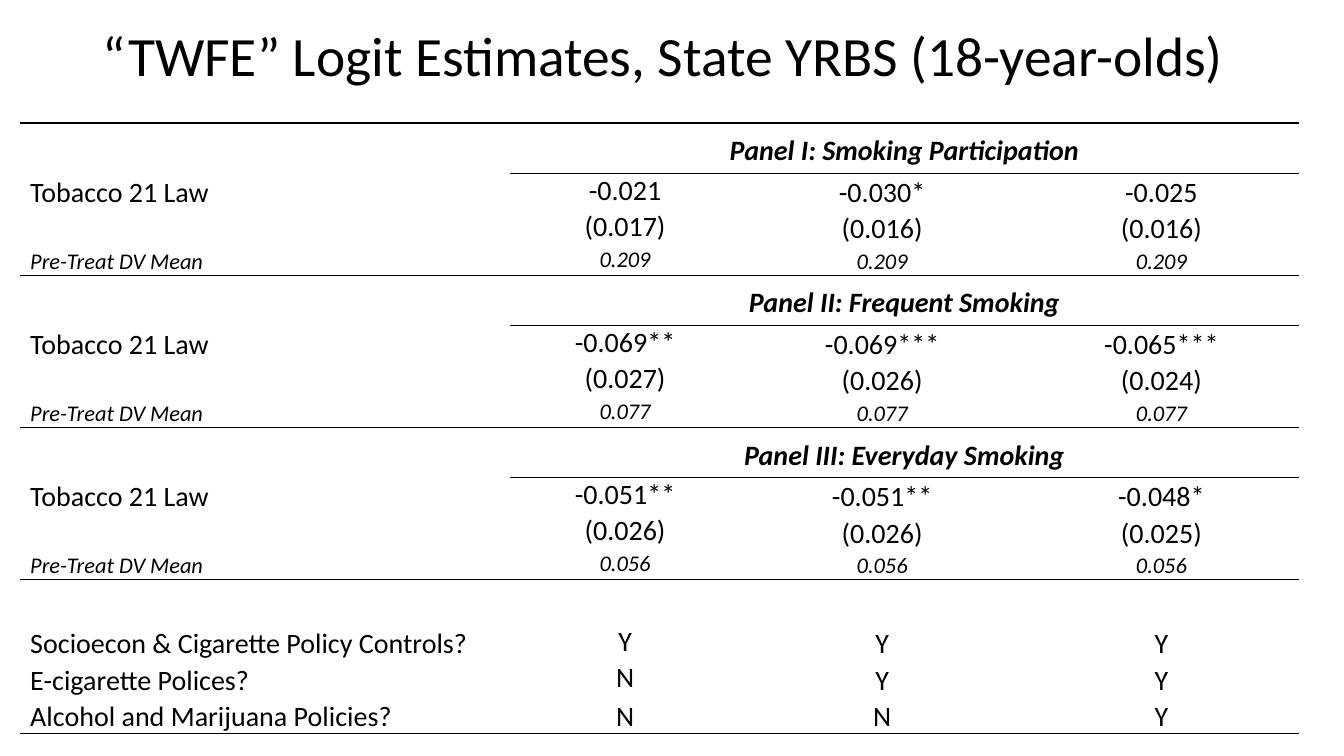
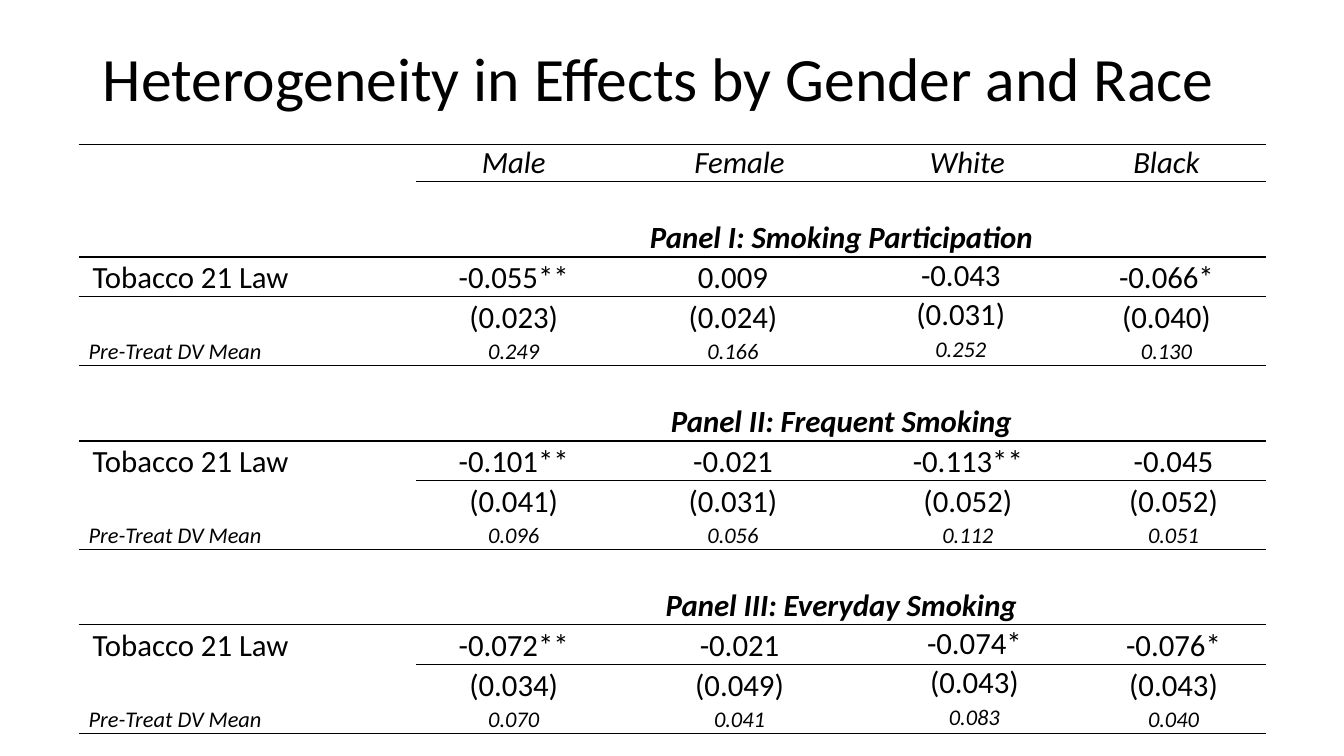
from collections import namedtuple
from itertools import accumulate
from lxml.etree import SubElement as Sub
from pptx import Presentation
from pptx.dml.color import RGBColor as Rgb
from pptx.enum.text import MSO_ANCHOR as Anchor, PP_ALIGN as Align
from pptx.oxml.ns import qn
from pptx.util import Inches, Pt

Theme = namedtuple("Theme", "font ink rule lead tight")
THEME = Theme("Calibri", "000000", 1, 1.07, 0.9)

Kind = namedtuple("Kind", "high size bold italic anchor pad")
Row = namedtuple("Row", "kind label vals spans plain rule")
Panel = namedtuple("Panel", "name rows spans plain rule")

TOP, MID, LOW = Anchor.TOP, Anchor.MIDDLE, Anchor.BOTTOM
NAMES = (
    "Panel I: Smoking Participation",
    "Panel II: Frequent Smoking",
    "Panel III: Everyday Smoking",
)
LABELS = (("est", "Tobacco 21 Law"), ("err", ""), ("mean", "Pre-Treat DV Mean"))

STATES = (
    (("-0.021", "-0.030*", "-0.025"), ("(0.017)", "(0.016)", "(0.016)"), ("0.209",) * 3),
    (("-0.069**", "-0.069***", "-0.065***"), ("(0.027)", "(0.026)", "(0.024)"), ("0.077",) * 3),
    (("-0.051**", "-0.051**", "-0.048*"), ("(0.026)", "(0.026)", "(0.025)"), ("0.056",) * 3),
)
CHECKS = (
    ("Socioecon & Cigarette Policy Controls?", "YYY"),
    ("E-cigarette Polices?", "NYY"),
    ("Alcohol and Marijuana Policies?", "NNY"),
)
GROUPS = ("Male", "Female", "White", "Black")
SPLITS = (
    (("-0.055**", "0.009", "-0.043", "-0.066*"),
     ("(0.023)", "(0.024)", "(0.031)", "(0.040)"),
     ("0.249", "0.166", "0.252", "0.130")),
    (("-0.101**", "-0.021", "-0.113**", "-0.045"),
     ("(0.041)", "(0.031)", "(0.052)", "(0.052)"),
     ("0.096", "0.056", "0.112", "0.051")),
    (("-0.072**", "-0.021", "-0.074*", "-0.076*"),
     ("(0.034)", "(0.049)", "(0.043)", "(0.043)"),
     ("0.070", "0.041", "0.083", "0.040")),
)


def expand(panel, wide, under):
    yield Row("panel", "", (panel.name,), (wide,), None, under)
    rules = (panel.rule, None, 0)
    for (kind, label), vals, rule in zip(LABELS, panel.rows, rules):
        yield Row(kind, label, vals, panel.spans, panel.plain, rule)


def state_rows():
    ones = (1, 1, 1)
    rows = []
    for name, vals in zip(NAMES, STATES):
        rows += expand(Panel(name, vals, ones, 0, None), 3, 1)
    rows.append(Row("gap", "", (), (), None, None))
    for i, (label, vals) in enumerate(CHECKS):
        last = i == len(CHECKS) - 1
        rows.append(Row("check", label, vals, ones, None if last else 0, 0 if last else None))
    return rows


def group_rows():
    spans = ((1, 1, 2, 2), (1, 1, 3, 1), (1, 2, 2, 1))
    rows = [Row("head", "", GROUPS, (1, 2, 1, 2), None, 1)]
    for name, vals, span, plain, rule in zip(NAMES, SPLITS, spans, (2, None, 2), (0, 1, 1)):
        rows += expand(Panel(name, vals, span, plain, rule), 6, 0)
    return rows


STATE_KINDS = {
    "panel": Kind(0.5, 20, True, True, LOW, 0.05),
    "est": Kind(0.36, 20, False, False, TOP, 0),
    "err": Kind(0.36, 20, False, False, TOP, 0),
    "mean": Kind(0.29, 16, False, True, TOP, 0),
    "gap": Kind(0.45, 16, False, False, TOP, 0),
    "check": Kind(0.36, 20, False, False, TOP, 0),
}
GROUP_KINDS = {
    "head": Kind(0.37, 22, False, True, MID, 0),
    "panel": Kind(0.75, 22, True, True, LOW, 0),
    "est": Kind(0.39, 22, False, False, TOP, 0),
    "err": Kind(0.39, 22, False, False, TOP, 0),
    "mean": Kind(0.29, 16, False, True, TOP, 0),
}
SLIDES = (
    dict(title="“TWFE” Logit Estimates, State YRBS (18-year-olds)", size=39.6,
         box=(0.92, 0.22, 11.5, 0.72), at=(0.2, 1.22), cols=(4.86, 2.28, 2.82, 2.72),
         kinds=STATE_KINDS, rows=state_rows(), dent={}),
    dict(title="Heterogeneity in Effects by Gender and Race", size=44,
         box=(0.92, 0.4, 11.5, 0.81), at=(0.78, 1.43),
         cols=(3.35, 1.93, 2.42, 0.13, 1.97, 0.14, 1.84),
         kinds=GROUP_KINDS, rows=group_rows(), dent={"est": 0.14}),
)


def style(para, size, bold=False, italic=False):
    font = para.font
    font.name, font.size = THEME.font, Pt(size)
    font.bold, font.italic = bold, italic
    font.color.rgb = Rgb.from_string(THEME.ink)


def add_title(slide, text, size, box):
    frame = slide.shapes.add_textbox(*map(Inches, box)).text_frame
    frame.word_wrap = True
    frame.vertical_anchor = MID
    para = frame.paragraphs[0]
    para.text = text
    para.line_spacing = THEME.tight
    style(para, size)


def set_edges(cell, over, under):
    props = cell._tc.get_or_add_tcPr()
    edges = (("L", False), ("R", False), ("T", over), ("B", under))
    for i, (side, drawn) in enumerate(edges):
        line = Sub(props, qn("a:ln" + side), w=str(Pt(THEME.rule)))
        if drawn:
            fill = Sub(line, qn("a:solidFill"))
            Sub(fill, qn("a:srgbClr"), val=THEME.ink)
        else:
            Sub(line, qn("a:noFill"))
        props.insert(i, line)


def set_cell(cell, kind):
    cell.fill.background()
    cell.margin_left = cell.margin_right = Inches(0.1)
    cell.margin_top = cell.margin_bottom = Inches(kind.pad)
    cell.vertical_anchor = kind.anchor
    style(cell.text_frame.paragraphs[0], kind.size, kind.bold, kind.italic)


def put(cell, text, align, lead):
    para = cell.text_frame.paragraphs[0]
    para.text = text
    para.alignment = align
    para.line_spacing = lead


def add_grid(slide, at, cols, kinds, rows, dent):
    highs = [kinds[row.kind].high for row in rows]
    area = (*at, sum(cols), sum(highs))
    table = slide.shapes.add_table(len(rows), len(cols), *map(Inches, area)).table
    table.first_row = table.horz_banding = False
    for col, wide in zip(table.columns, cols):
        col.width = Inches(wide)
    rule = 0
    for r, row in enumerate(rows):
        kind = kinds[row.kind]
        table.rows[r].height = Inches(kind.high)
        for c in range(len(cols)):
            cell = table.cell(r, c)
            set_cell(cell, kind)
            set_edges(cell, rule is not None and c >= rule,
                      row.rule is not None and c >= row.rule)
        rule = row.rule
        if row.label:
            cell = table.cell(r, 0)
            put(cell, row.label, Align.LEFT, THEME.lead)
            cell.margin_left = Inches(dent.get(row.kind, 0.1))
        starts = accumulate(row.spans, initial=1)
        for i, (c, span, text) in enumerate(zip(starts, row.spans, row.vals)):
            cell = table.cell(r, c)
            if span > 1:
                cell.merge(table.cell(r, c + span - 1))
            plain = i == row.plain or row.kind in ("panel", "head")
            put(cell, text, Align.CENTER, 1.0 if plain else THEME.lead)


def main():
    deck = Presentation()
    deck.slide_width, deck.slide_height = Inches(13.33), Inches(7.5)
    for page in SLIDES:
        slide = deck.slides.add_slide(deck.slide_layouts[6])
        add_title(slide, page["title"], page["size"], page["box"])
        add_grid(slide, *(page[key] for key in ("at", "cols", "kinds", "rows", "dent")))
    deck.save("out.pptx")


if __name__ == "__main__":
    main()
